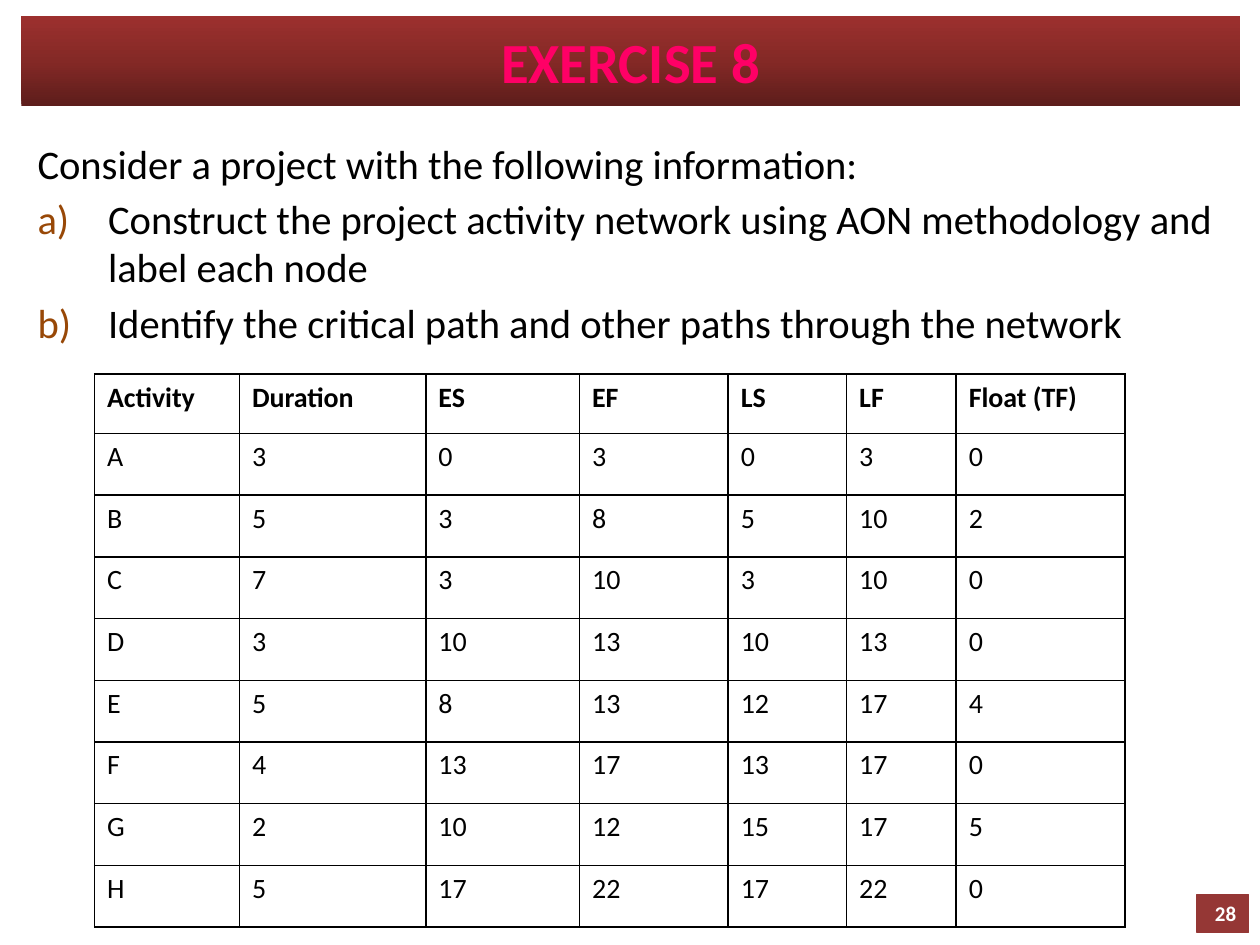
import copy

import pptx
import pptx.dml.color
import pptx.enum.shapes
import pptx.enum.text
import pptx.oxml
import pptx.oxml.ns
import pptx.util
from pptx.util import Inches

COLORS = {
    "black": "000000", "white": "FFFFFF", "title": "FF0066", "number": "984807",
    "dark": "5D1D1B", "middle": "842926", "light": "9C302E", "page": "953735",
}
RECTANGLE = pptx.enum.shapes.MSO_SHAPE.RECTANGLE
MIDDLE = pptx.enum.text.MSO_ANCHOR.MIDDLE
ALIGN = pptx.enum.text.PP_ALIGN
NAMESPACE = pptx.oxml.ns.nsdecls("a")


def rgb(name):
    return pptx.dml.color.RGBColor.from_string(COLORS[name])


def add_run(paragraph, text, size, color="black", bold=False):
    run = paragraph.add_run()
    run.text = text
    run.font.name = "Calibri"
    run.font.size = pptx.util.Pt(size)
    run.font.bold = bold
    run.font.color.rgb = rgb(color)


deck = pptx.Presentation()
deck.slide_width, deck.slide_height = Inches(10), Inches(7.5)
slide = deck.slides.add_slide(deck.slide_layouts[6])

# Title banner, dark at the bottom and light at the top
banner = slide.shapes.add_shape(RECTANGLE, Inches(0.17), Inches(0.13), Inches(9.67), Inches(0.71))
banner.shadow.inherit = False
banner.line.fill.background()
banner.fill.gradient()
banner.fill.gradient_angle = 90
stop_list = banner.fill._xPr.find(".//" + pptx.oxml.ns.qn("a:gsLst"))
stop_list.insert(1, copy.deepcopy(stop_list[0]))
for stop, position, shade in zip(banner.fill.gradient_stops, (0, 0.5, 1), ("dark", "middle", "light")):
    stop.position = position
    stop.color.rgb = rgb(shade)
banner.text_frame.vertical_anchor = MIDDLE
heading = banner.text_frame.paragraphs[0]
heading.alignment = ALIGN.CENTER
add_run(heading, "EXERCISE 8", 32.4, "title", True)

# Task and its lettered questions
task = slide.shapes.add_textbox(Inches(0.2), Inches(1.07), Inches(9.67), Inches(1.89)).text_frame
task.word_wrap = True
intro = task.paragraphs[0]
intro.line_spacing = 0.98
add_run(intro, "Consider a project with the following information:", 23.2)
questions = [
    "Construct the project activity network using AON methodology and label each node",
    "Identify the critical path and other paths through the network",
]
for question in questions:
    item = task.add_paragraph()
    properties = item._p.get_or_add_pPr()
    properties.set("marL", str(Inches(0.56)))
    properties.set("indent", str(Inches(-0.56)))
    for bullet in (
        f'<a:buClr {NAMESPACE}><a:srgbClr val="{COLORS["number"]}"/></a:buClr>',
        f'<a:buFont {NAMESPACE} typeface="Calibri"/>',
        f'<a:buAutoNum {NAMESPACE} type="alphaLcParenR"/>',
    ):
        properties.append(pptx.oxml.parse_xml(bullet))
    item.line_spacing = 0.98
    item.space_before = pptx.util.Pt(4.6)
    add_run(item, question, 23.2)

# Page number
page = slide.shapes.add_shape(RECTANGLE, Inches(9.5), Inches(7.1), Inches(0.41), Inches(0.3))
page.shadow.inherit = False
page.fill.solid()
page.fill.fore_color.rgb = rgb("page")
page.line.color.rgb = rgb("page")
page.line.width = pptx.util.Pt(0.75)
page.text_frame.vertical_anchor = MIDDLE
page_number = page.text_frame.paragraphs[0]
page_number.alignment = ALIGN.RIGHT
add_run(page_number, "28", 12, "white", True)

# Activity schedule
schedule = [
    ("Activity", "Duration", "ES", "EF", "LS", "LF", "Float (TF)"),
    ("A", 3, 0, 3, 0, 3, 0),
    ("B", 5, 3, 8, 5, 10, 2),
    ("C", 7, 3, 10, 3, 10, 0),
    ("D", 3, 10, 13, 10, 13, 0),
    ("E", 5, 8, 13, 12, 17, 4),
    ("F", 4, 13, 17, 13, 17, 0),
    ("G", 2, 10, 12, 15, 17, 5),
    ("H", 5, 17, 22, 17, 22, 0),
]
column_widths = [1.15, 1.48, 1.22, 1.18, 0.94, 0.87, 1.34]
table = slide.shapes.add_table(
    len(schedule), len(column_widths), Inches(0.75), Inches(2.97), Inches(8.19), Inches(4.4)
).table
table.first_row = table.horz_banding = False
for column, width in zip(table.columns, column_widths):
    column.width = Inches(width)
for row_index, values in enumerate(schedule):
    table.rows[row_index].height = Inches(0.49 if row_index else 0.47)
    for column_index, value in enumerate(values):
        cell = table.cell(row_index, column_index)
        for side in ("lnL", "lnR", "lnT", "lnB"):
            cell._tc.get_or_add_tcPr().append(pptx.oxml.parse_xml(
                f'<a:{side} {NAMESPACE} w="{pptx.util.Pt(1)}"><a:solidFill>'
                f'<a:srgbClr val="{COLORS["black"]}"/></a:solidFill></a:{side}>'
            ))
        cell.fill.background()
        add_run(cell.text_frame.paragraphs[0], str(value), 16, bold=row_index == 0)

deck.save("out.pptx")
